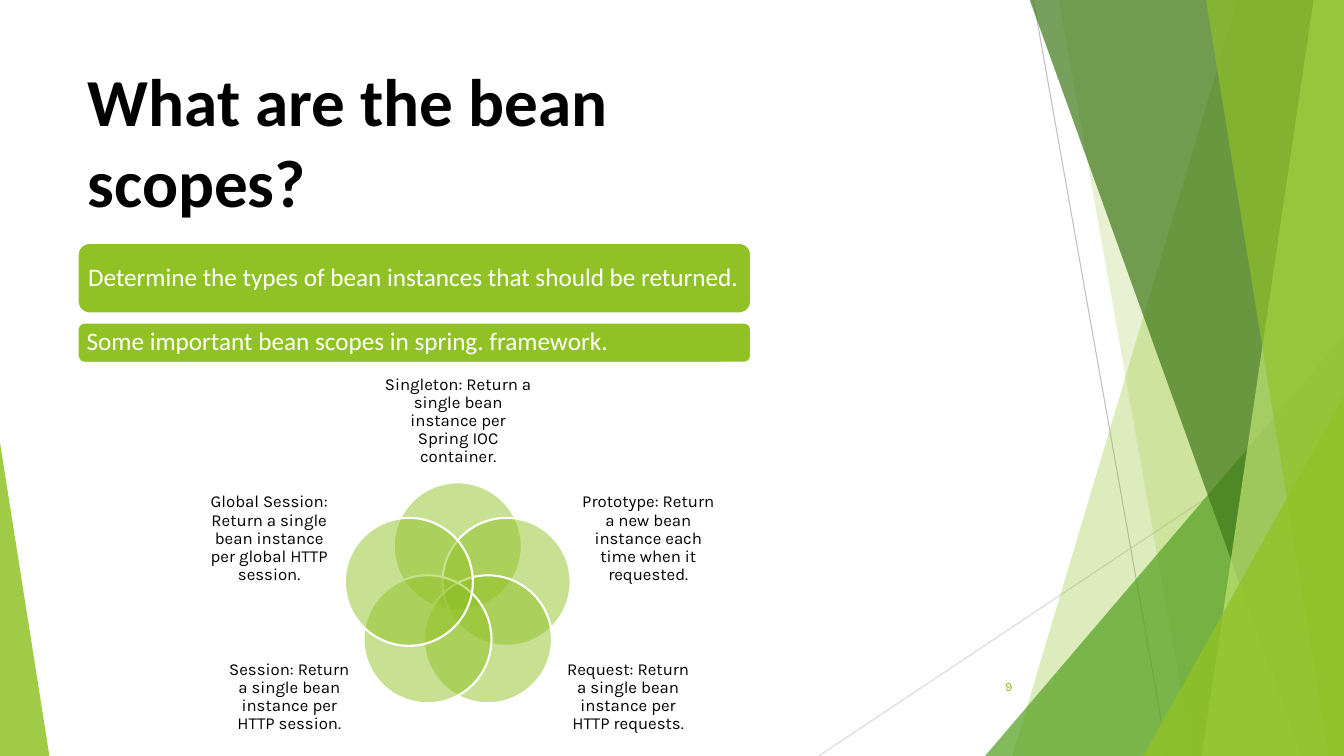
import math

from lxml import etree
from pptx import Presentation
from pptx import util as u
from pptx.dml.color import RGBColor
from pptx.enum import shapes, text
from pptx.oxml import ns

PX = 9144  # 100 px to the inch
WIDE, HIGH = 1333, 750
LIME = "90C226"
KIND = shapes.MSO_SHAPE
LEFT, MID, RIGHT = text.PP_ALIGN.LEFT, text.PP_ALIGN.CENTER, text.PP_ALIGN.RIGHT

# top x, bottom x, colour, opacity; each band reaches the right edge
BACK = [(1228, 1004, LIME, 30), (1050, 1183, LIME, 20)]
FRONT = [(1021, 1291, "3F7819", 70), (1303, 1192, "C0E474", 70),
         (1196, 1318, LIME, 65)]

# label box and wording, clockwise from the top
SCOPES = [
    ((381, 375, 147, 85),
     "Singleton: Return a single bean instance per Spring IOC container."),
    ((577, 488, 132, 93),
     "Prototype: Return a new bean instance each time when it requested."),
    ((557, 645, 132, 93),
     "Request: Return a single bean instance per HTTP requests."),
    ((221, 645, 132, 93),
     "Session: Return a single bean instance per HTTP session."),
    ((201, 488, 132, 93),
     "Global Session: Return a single bean instance per global HTTP session."),
]


def emu(*vals):
    return [u.Emu(round(v * PX)) for v in vals]


def rgb(code):
    return RGBColor.from_string(code)


def paint(shape, code, alpha=100, edge=None):
    """Set fill, opacity in percent, and an optional outline colour."""
    shape.shadow.inherit = False
    shape.fill.solid()
    shape.fill.fore_color.rgb = rgb(code)
    if alpha < 100:
        tint = shape.fill._xPr.find(".//" + ns.qn("a:srgbClr"))
        etree.SubElement(tint, ns.qn("a:alpha"), val=str(alpha * 1000))
    if edge:
        shape.line.color.rgb = rgb(edge)
        shape.line.width = u.Pt(1.5)
    else:
        shape.line.fill.background()


def block(slide, kind, box, code, alpha=100, edge=None):
    shape = slide.shapes.add_shape(kind, *emu(*box))
    paint(shape, code, alpha, edge)
    return shape


def wedge(slide, box, tip, code, alpha):
    """Triangle whose tip lies at 0 (left) to 1 (right)."""
    block(slide, KIND.ISOSCELES_TRIANGLE, box, code, alpha).adjustments[0] = tip


def band(slide, top, base, code, alpha):
    pen = slide.shapes.build_freeform(top, -1, scale=PX)
    pen.add_line_segments([(WIDE, -1), (WIDE, HIGH), (base, HIGH)], close=True)
    paint(pen.convert_to_shape(), code, alpha)


def rule(slide, ends, code):
    line = slide.shapes.add_connector(shapes.MSO_CONNECTOR.STRAIGHT, *emu(*ends))
    line.line.color.rgb = rgb(code)
    line.line.width = u.Pt(0.75)
    etree.SubElement(line._element.spPr, ns.qn("a:effectLst"))


def write(shape, words, size, font, code, align=LEFT, inset=None,
          lead=None, bold=False):
    frame = shape.text_frame
    frame.word_wrap = True
    frame.vertical_anchor = text.MSO_ANCHOR.MIDDLE
    if inset is not None:
        gap = emu(inset)[0]
        frame.margin_left = frame.margin_right = gap
        frame.margin_top = frame.margin_bottom = gap
    para = frame.paragraphs[0]
    para.alignment = align
    if lead:
        para.line_spacing = lead
    run = para.add_run()
    run.text = words
    run.font.size = u.Pt(size)
    run.font.name = font
    run.font.bold = bold
    run.font.color.rgb = rgb(code)


def label(slide, box, *args, **opts):
    shape = slide.shapes.add_textbox(*emu(*box))
    write(shape, *args, **opts)
    return shape.text_frame


def bar(slide, top, high, words):
    shape = block(slide, KIND.ROUNDED_RECTANGLE, (77, top, 668, high),
                  LIME, edge="FFFFFF")
    write(shape, words, 18, "Calibri", "FFFFFF", inset=7, lead=0.9)


def decor(slide):
    rule(slide, (1025, 0, 1158, HIGH), "BFBFBF")
    rule(slide, (WIDE, 403, 812, HIGH), "D9D9D9")
    for item in BACK:
        band(slide, *item)
    wedge(slide, (977, 333, 356, 417), 1, "54A021", 72)
    for item in FRONT:
        band(slide, *item)
    wedge(slide, (1134, 393, 199, 357), 1, LIME, 80)
    wedge(slide, (0, 439, 49, 311), 0, LIME, 85)


def venn(slide):
    """Ring of overlapping circles, one for each scope, with labels."""
    mid_x, mid_y, ring, size = 454, 593, 51, 127
    for i, (box, words) in enumerate(SCOPES):
        turn = math.tau * i / len(SCOPES)
        left = mid_x + ring * math.sin(turn) - size / 2
        top = mid_y - ring * math.cos(turn) - size / 2
        block(slide, KIND.OVAL, (left, top, size, size), LIME, 50, "FFFFFF")
        label(slide, box, words, 12, "Karla", "000000", MID, inset=0, lead=0.9)


def main():
    deck = Presentation()
    deck.slide_width, deck.slide_height = emu(WIDE, HIGH)
    slide = deck.slides.add_slide(deck.slide_layouts[6])
    decor(slide)
    label(slide, (939, 661, 75, 40), "9", 9, "Karla", LIME, RIGHT)
    title = label(slide, (77, 54, 668, 172), "What are the bean scopes?",
                  48, "Calibri", "000000", bold=True)
    title.vertical_anchor = text.MSO_ANCHOR.TOP
    title.auto_size = text.MSO_AUTO_SIZE.SHAPE_TO_FIT_TEXT
    bar(slide, 241, 70,
        "Determine the types of bean instances that should be returned.")
    venn(slide)
    bar(slide, 320, 40, "Some important bean scopes in spring. framework.")
    deck.save("out.pptx")


if __name__ == "__main__":
    main()
